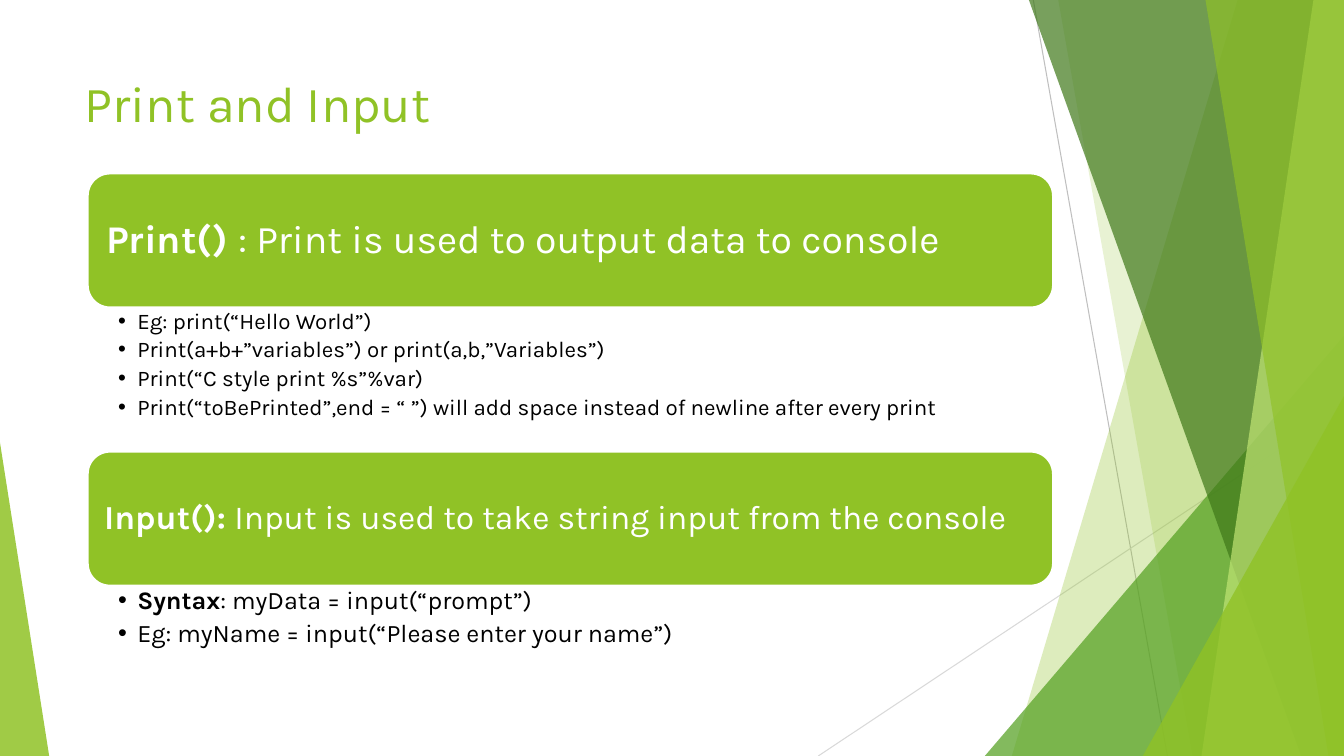
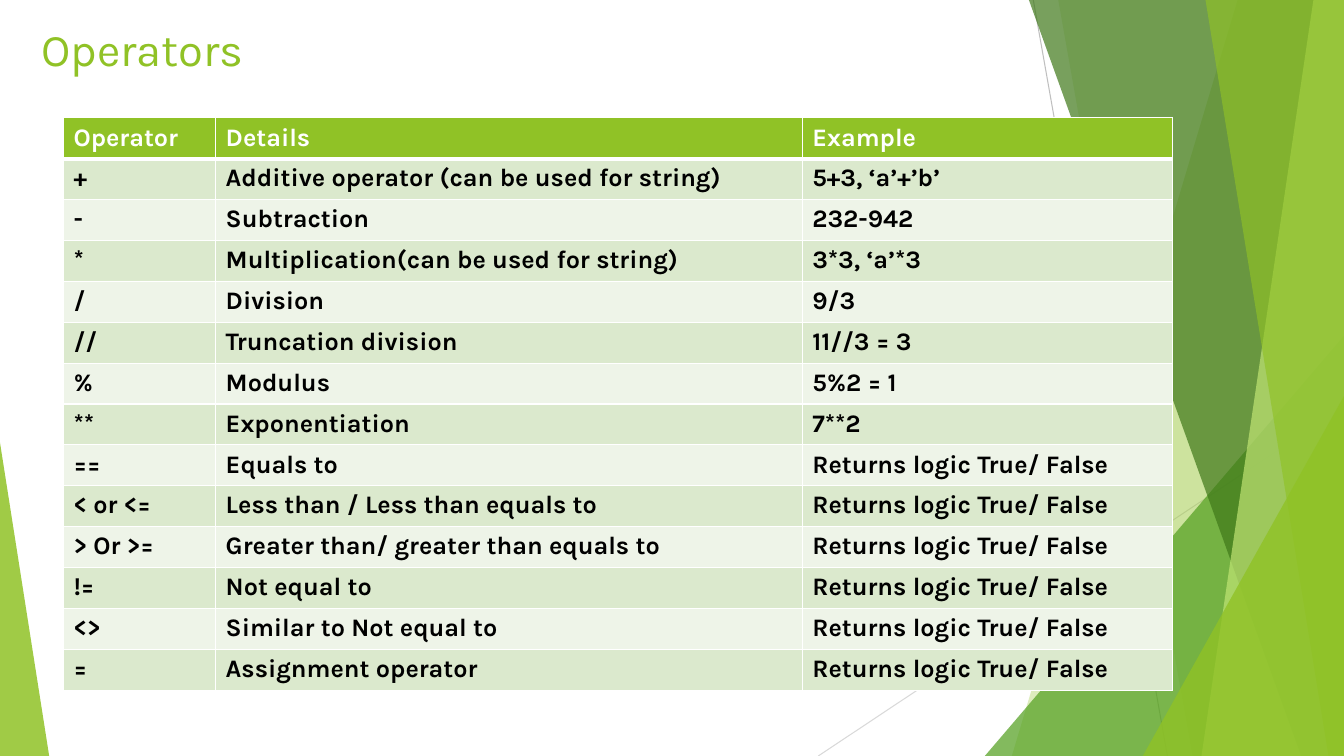
from dataclasses import dataclass

from lxml import etree
from pptx import Presentation
from pptx import util as u
from pptx.dml import color
from pptx.enum import shapes, text
from pptx.oxml import ns


@dataclass(frozen=True)
class Theme:
    font: str = "Karla"
    lime: str = "90C226"
    green: str = "54A021"
    forest: str = "3F7819"
    pale: str = "C0E474"
    white: str = "FFFFFF"
    black: str = "000000"
    row_dark: str = "DBE9CD"
    row_light: str = "EEF4E8"
    line_dark: str = "BFBFBF"
    line_light: str = "D9D9D9"
    title_size: float = 36
    small_title_size: float = 32.4
    table_size: float = 18


@dataclass(frozen=True)
class Box:
    left: float
    top: float
    width: float
    height: float

    def lengths(self):
        return [u.Cm(n) for n in (self.left, self.top, self.width, self.height)]


THEME = Theme()
PAGE = Box(0, 0, 33.87, 19.05)


def rgb(code):
    return color.RGBColor.from_string(code)


def place(shape, box):
    shape.left, shape.top, shape.width, shape.height = box.lengths()


def style(para, size, code, bold=False):
    para.font.name = THEME.font
    para.font.size = u.Pt(size)
    para.font.bold = bold
    para.font.color.rgb = rgb(code)


def write_spans(para, strong, plain):
    for words, bold in ((strong, True), (plain, False)):
        if words:
            span = para.add_run()
            span.text = words
            span.font.bold = bold


def set_margins(frame, side, edge, right):
    frame.margin_left, frame.margin_right = u.Cm(side), u.Cm(right)
    frame.margin_top = frame.margin_bottom = u.Cm(edge)


def paint(shape, code, opacity=100):
    shape.shadow.inherit = False
    shape.fill.solid()
    shape.fill.fore_color.rgb = rgb(code)
    shape.line.fill.background()
    if opacity < 100:
        fill = shape.element.spPr.find(".//" + ns.qn("a:srgbClr"))
        etree.SubElement(fill, ns.qn("a:alpha"), val=str(opacity * 1000))


def add_thin_line(page, start, end, code):
    points = [u.Cm(n) for n in (*start, *end)]
    line = page.shapes.add_connector(shapes.MSO_CONNECTOR.STRAIGHT, *points)
    line.line.color.rgb = rgb(code)
    line.line.width = u.Pt(0.75)
    etree.SubElement(line.element.spPr, ns.qn("a:effectLst"))


def add_shard(page, top_left, top_right, bottom_left, code, opacity):
    floor = u.Cm(PAGE.height)
    builder = page.shapes.build_freeform(u.Cm(top_left), 0)
    builder.add_line_segments([
        (u.Cm(top_right), 0), (u.Cm(top_right), floor), (u.Cm(bottom_left), floor)])
    paint(builder.convert_to_shape(), code, opacity)


def add_corner(page, left, top, right, peak, code, opacity):
    box = Box(left, top, right - left, PAGE.height - top)
    corner = page.shapes.add_shape(
        shapes.MSO_SHAPE.ISOSCELES_TRIANGLE, *box.lengths())
    corner.adjustments[0] = peak
    paint(corner, code, opacity)


def draw_backdrop(deck, page):
    edge = PAGE.width
    add_thin_line(page, (26.04, 0), (29.42, PAGE.height), THEME.line_dark)
    add_thin_line(page, (edge, 10.24), (20.62, PAGE.height), THEME.line_light)
    add_shard(page, 31.19, edge, 25.5, THEME.lime, 30)
    add_shard(page, 26.67, edge, 30.05, THEME.lime, 20)
    add_corner(page, 24.82, 8.46, edge, 1, THEME.green, 72)
    add_shard(page, 25.93, edge, 32.79, THEME.forest, 70)
    add_shard(page, 33.1, edge, 30.28, THEME.pale, 70)
    add_shard(page, 30.38, edge, 33.48, THEME.lime, 65)
    add_corner(page, 28.8, 9.98, edge, 1, THEME.lime, 80)
    add_corner(page, 0, 11.15, 1.24, 0, THEME.lime, 85)
    tree = deck.slide_master.shapes.element
    parts = [shape for shape in page.shapes if not shape.is_placeholder]
    for index, part in enumerate(parts):
        part.element.xpath(".//p:cNvPr")[0].set("id", str(100 + index))
        tree.insert(2 + index, part.element)


def fill_title(page, box, words, size):
    title = page.shapes.title
    place(title, box)
    frame = title.text_frame
    frame.text = words
    frame.auto_size = text.MSO_AUTO_SIZE.NONE
    frame.vertical_anchor = text.MSO_ANCHOR.TOP
    para = frame.paragraphs[0]
    para.alignment = text.PP_ALIGN.LEFT
    style(para, size, THEME.lime)


def add_banner(page, box, spans, size, margin):
    banner = page.shapes.add_shape(
        shapes.MSO_SHAPE.ROUNDED_RECTANGLE, *box.lengths())
    paint(banner, THEME.lime)
    banner.line.color.rgb = rgb(THEME.white)
    banner.line.width = u.Pt(1.5)
    frame = banner.text_frame
    frame.word_wrap = True
    frame.vertical_anchor = text.MSO_ANCHOR.MIDDLE
    set_margins(frame, margin, margin, margin)
    para = frame.paragraphs[0]
    para.alignment = text.PP_ALIGN.LEFT
    para.line_spacing = 0.9
    style(para, size, THEME.white)
    write_spans(para, *spans)


def fill_list(body, box, items, size):
    place(body, box)
    frame = body.text_frame
    frame.auto_size = text.MSO_AUTO_SIZE.NONE
    frame.vertical_anchor = text.MSO_ANCHOR.TOP
    set_margins(frame, 0.77, 0.06, 0.33)
    for index, spans in enumerate(items):
        para = frame.add_paragraph() if index else frame.paragraphs[0]
        para.line_spacing = 0.9
        para.space_before = u.Pt(0)
        para.space_after = u.Pt(size * 0.2)
        style(para, size, THEME.black)
        write_spans(para, *spans)
        layout = para._p.get_or_add_pPr()
        layout.set("marL", str(u.Cm(0.48)))
        layout.set("indent", str(u.Cm(-0.48)))
        bullet = etree.Element(ns.qn("a:buChar"), char="•")
        layout.find(ns.qn("a:defRPr")).addprevious(bullet)


def add_section(page, body, box, heading, heading_size, margin, items, size):
    banner_height = 3.38
    add_banner(page, Box(box.left, box.top, box.width, banner_height),
               heading, heading_size, margin)
    fill_list(body, Box(box.left, box.top + banner_height, box.width,
                        box.height - banner_height), items, size)


def border_cell(cell, top, bottom):
    holder = cell._tc.get_or_add_tcPr()
    for side, width in (("L", 1), ("R", 1), ("T", top), ("B", bottom)):
        line = etree.SubElement(holder, ns.qn("a:ln" + side), w=str(u.Pt(width)))
        fill = etree.SubElement(line, ns.qn("a:solidFill"))
        etree.SubElement(fill, ns.qn("a:srgbClr"), val=THEME.white)


def add_operator_table(page, box, shares, rows):
    table = page.shapes.add_table(len(rows), len(shares), *box.lengths()).table
    for column, share in zip(table.columns, shares):
        column.width = u.Cm(box.width * share / sum(shares))
    for r, values in enumerate(rows):
        table.rows[r].height = u.Cm(box.height / len(rows))
        band = THEME.row_dark if r % 2 else THEME.row_light
        for c, words in enumerate(values):
            cell = table.cell(r, c)
            border_cell(cell, 3 if r == 1 else 1, 1 if r else 3)
            cell.fill.solid()
            cell.fill.fore_color.rgb = rgb(band if r else THEME.lime)
            cell.text = words
            style(cell.text_frame.paragraphs[0], THEME.table_size,
                  THEME.black if r else THEME.white, True)


def build_print_page(page):
    fill_title(page, Box(1.88, 1.7, 23.88, 3.66), "Print and Input", THEME.title_size)
    first, second = [p for p in page.placeholders if p.placeholder_format.idx in (1, 2)]
    add_section(
        page, first, Box(2.21, 4.37, 24.33, 7.01),
        ("Print() ", ": Print is used to output data to console"), 28, 0.3,
        [("", "Eg: print(“Hello World”)"),
         ("", "Print(a+b+”variables”) or print(a,b,”Variables”)"),
         ("", "Print(“C style print %s”%var)"),
         ("", "Print(“toBePrinted”,end = “ ”) will add space instead of "
              "newline after every print")], 16)
    add_section(
        page, second, Box(2.21, 11.38, 24.33, 6.38),
        ("Input(): ", "Input is used to take string input from the console"), 24, 0.25,
        [("Syntax", ": myData = input(“prompt”)"),
         ("", "Eg: myName = input(“Please enter your name”)")], 18)


def build_operator_page(page):
    fill_title(page, Box(0.79, 0.41, 27.94, 1.27), "Operators", THEME.small_title_size)
    logic = "Returns logic True/ False"
    add_operator_table(page, Box(1.6, 2.97, 27.94, 14.43), (1.51, 5.82, 3.67), [
        ("Operator", "Details", "Example"),
        ("+", "Additive operator (can be used for string)", "5+3, ‘a’+’b’"),
        ("-", "Subtraction", "232-942"),
        ("*", "Multiplication(can be used for string)", "3*3, ‘a’*3"),
        ("/", "Division", "9/3"),
        ("//", "Truncation division", "11//3 = 3"),
        ("%", "Modulus", "5%2 = 1"),
        ("**", "Exponentiation", "7**2"),
        ("==", "Equals to", logic),
        ("< or <=", "Less than / Less than equals to", logic),
        ("> Or >=", "Greater than/ greater than equals to", logic),
        ("!=", "Not equal to", logic),
        ("<>", "Similar to Not equal to", logic),
        ("=", "Assignment operator", logic)])


deck = Presentation()
deck.slide_width, deck.slide_height = u.Cm(PAGE.width), u.Cm(PAGE.height)
print_page = deck.slides.add_slide(deck.slide_layouts.get_by_name("Two Content"))
draw_backdrop(deck, print_page)
build_print_page(print_page)
build_operator_page(deck.slides.add_slide(deck.slide_layouts.get_by_name("Title Only")))
deck.save("out.pptx")
